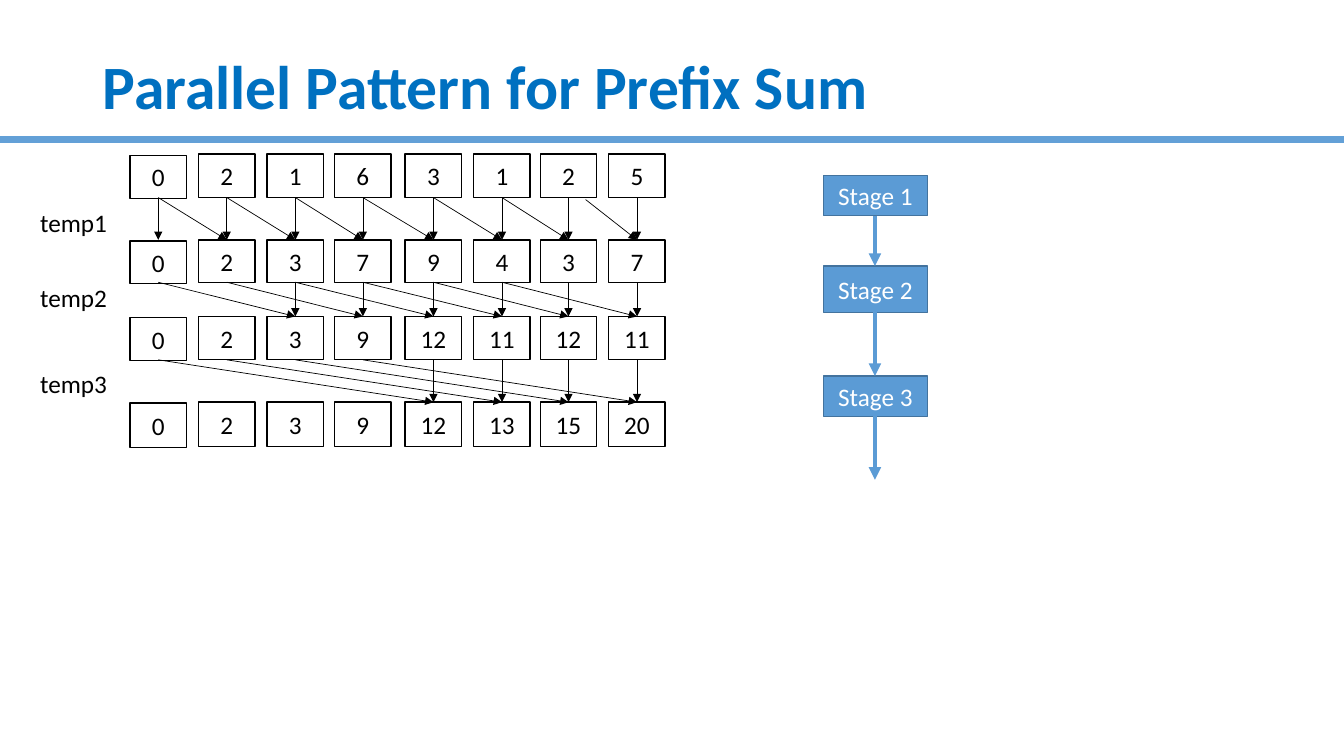
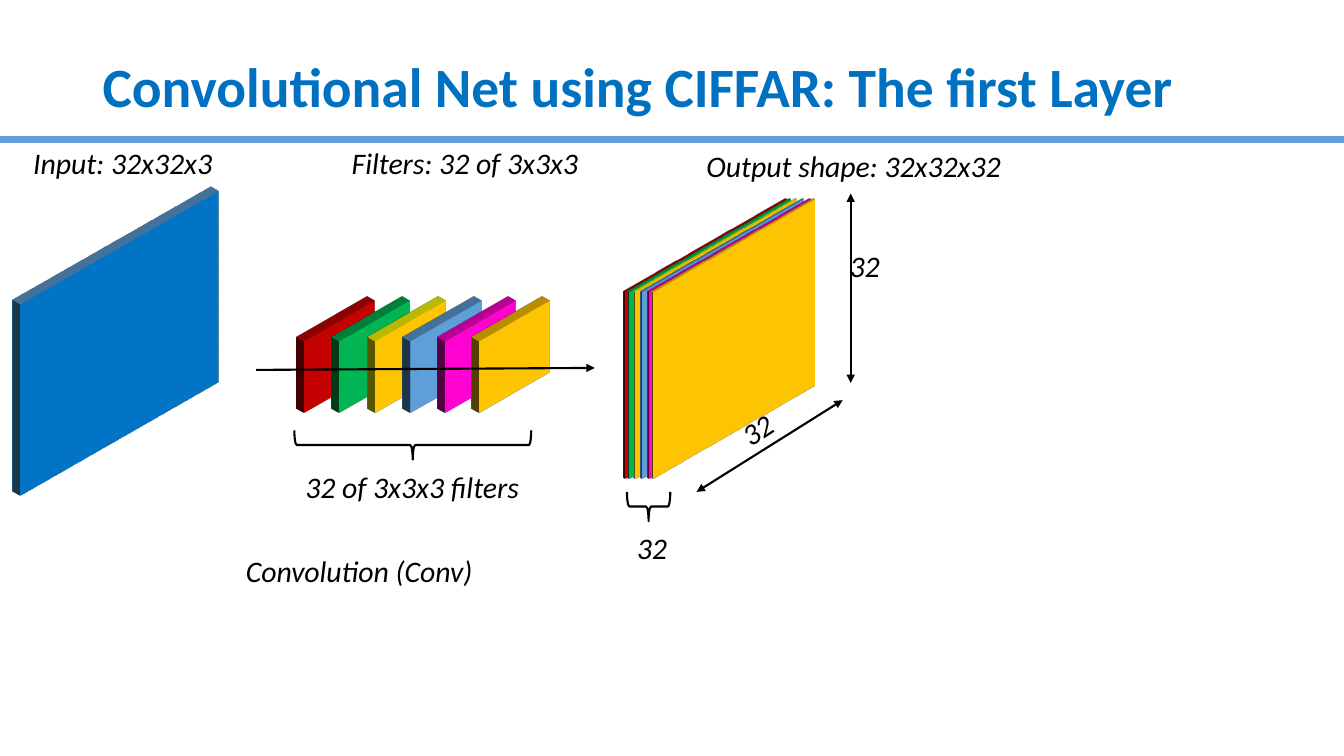
"""Build two slides: a parallel prefix sum and a first convolution layer."""
from lxml.etree import SubElement
from pptx import Presentation
from pptx.dml.color import RGBColor
from pptx.enum.shapes import MSO_CONNECTOR as LINK, MSO_SHAPE as SHAPE
from pptx.enum.text import MSO_ANCHOR as ANCHOR, PP_ALIGN as ALIGN
from pptx.oxml.ns import qn
from pptx.util import Pt

PX = 9144
COLOURS = {
    "title": "0070C0", "rule": "63A0D7", "black": "000000", "white": "FFFFFF",
    "blue": "5B9BD5", "blue edge": "43739E", "red": "C00000", "green": "00B050",
    "amber": "FFC000", "yellow": "FFFF00", "magenta": "FF00CC",
}
RGB = {name: RGBColor.from_string(value) for name, value in COLOURS.items()}


def set_text(box, text, size=18, colour="black", bold=False, italic=False):
    box.text_frame.text = text
    font = box.text_frame.paragraphs[0].runs[0].font
    font.name, font.size = "Calibri", Pt(size)
    font.bold, font.italic = bold, italic
    font.color.rgb = RGB[colour]


def add_line(page, start, end, colour="black", width=0.5, ends=("tailEnd",)):
    corners = [value * PX for value in (*start, *end)]
    line = page.shapes.add_connector(LINK.STRAIGHT, *corners)
    line.line.color.rgb = RGB[colour]
    line.line.width = Pt(width)
    properties = line._element.spPr
    for end_name in ends:
        SubElement(properties.find(qn("a:ln")), qn("a:" + end_name), type="triangle")
    SubElement(properties, qn("a:effectLst"))


deck = Presentation()
deck.slide_width, deck.slide_height = 4000 * PX // 3, 750 * PX

pages = []
for title, size in [("Parallel Pattern for Prefix Sum", 44),
                    ("Convolutional Net using CIFFAR: The first Layer", 39.6)]:
    page = deck.slides.add_slide(deck.slide_layouts[6])
    add_line(page, (1333, 138), (0, 138), "rule", 5, ends=())
    box = page.shapes.add_textbox(92 * PX, 40 * PX, 1150 * PX, 98 * PX)
    box.text_frame.word_wrap = True
    box.text_frame.vertical_anchor = ANCHOR.MIDDLE
    set_text(box, title, size, "title", bold=True)
    box.text_frame.paragraphs[0].line_spacing = 0.9
    pages.append(page)
sum_page, layer_page = pages

CELL_WIDTH = 56
column_lefts = [129, 197, 265, 332, 402, 470, 536, 604]
row_tops = [153, 238, 314, 399]
row_heights = [43, 42, 43, 44]
centres = [left + CELL_WIDTH // 2 for left in column_lefts]
rows = [[0, 2, 1, 6, 3, 1, 2, 5]]
for stride in (1, 2, 4):
    last = rows[-1]
    rows.append([value + (last[i - stride] if i >= stride else 0)
                 for i, value in enumerate(last)])

boxes = [(left, top + (left == column_lefts[0]), CELL_WIDTH, height, str(value),
          None, "black", "black")
         for top, height, row in zip(row_tops, row_heights, rows)
         for left, value in zip(column_lefts, row)]
stages = [(174, 40), (264, 46), (373, 40)]
boxes += [(817, top, 103, height, f"Stage {number}", "blue", "blue edge", "white")
          for number, (top, height) in enumerate(stages, 1)]
for left, top, width, height, text, fill, edge, colour in boxes:
    box = sum_page.shapes.add_shape(
        SHAPE.RECTANGLE, left * PX, top * PX, width * PX, height * PX)
    box.shadow.inherit = False
    if fill:
        box.fill.solid()
        box.fill.fore_color.rgb = RGB[fill]
    else:
        box.fill.background()
    box.line.color.rgb = RGB[edge]
    box.line.width = Pt(1)
    set_text(box, text, colour=colour)
    box.text_frame.vertical_anchor = ANCHOR.MIDDLE
    box.text_frame.paragraphs[0].alignment = ALIGN.CENTER

for step, (top, height, next_top) in enumerate(zip(row_tops, row_heights, row_tops[1:])):
    stride = 2 ** step
    bottom = top + height
    if step == 0:
        add_line(sum_page, (centres[0], bottom), (centres[0], next_top))
    for i in range(stride, len(centres)):
        add_line(sum_page, (centres[i], bottom), (centres[i], next_top))
        start = (centres[i - stride], bottom)
        if step == 0 and i == len(centres) - 1:
            start = (581, 198)
        add_line(sum_page, start, (centres[i], next_top))

for (top, height), next_top in zip(stages, (264, 373, 476)):
    add_line(sum_page, (868, top + height), (868, next_top), "blue", 3)

slab_colours = [("red", "red"), ("green", "green"), ("amber", "yellow"),
                ("blue", "blue"), ("magenta", "magenta"), ("amber", "amber")]
slabs = [(-20, 225, 277, 231, 8, "title", "blue")]
slabs += [(left, 311, 99, 86, 8, fill, edge)
          for left, (fill, edge) in zip((287, 322, 358, 393, 427, 461), slab_colours)]
slabs += [(left, 224, 226, 225, 2, fill, edge)
          for left, (fill, edge) in zip((587, 591, 597, 604, 611, 615), slab_colours)]
for left, top, width, height, depth, fill, edge in slabs:
    slab = layer_page.shapes.add_shape(
        SHAPE.RECTANGLE, left * PX, top * PX, width * PX, height * PX)
    slab.shadow.inherit = False
    slab.fill.solid()
    slab.fill.fore_color.rgb = RGB[fill]
    slab.line.color.rgb = RGB[edge]
    slab.line.width = Pt(1)
    scene = SubElement(slab._element.spPr, qn("a:scene3d"))
    SubElement(scene, qn("a:camera"), prst="isometricRightUp")
    SubElement(scene, qn("a:lightRig"), rig="threePt", dir="t")
    solid = SubElement(slab._element.spPr, qn("a:sp3d"), extrusionH=str(Pt(depth)))
    extrusion = SubElement(solid, qn("a:extrusionClr"))
    SubElement(extrusion, qn("a:srgbClr"), val=COLOURS[edge])

for left, top, width, height in [(629, 481, 29, 43), (395, 324, 29, 235)]:
    brace = layer_page.shapes.add_shape(
        SHAPE.LEFT_BRACE, left * PX, top * PX, width * PX, height * PX)
    brace.rotation = 270
    brace.shadow.inherit = False
    brace.fill.solid()
    brace.fill.fore_color.rgb = RGB["white"]
    brace.line.color.rgb = RGB["black"]
    brace.line.width = Pt(1.5)

both_ends = ("headEnd", "tailEnd")
add_line(layer_page, (254, 367), (590, 365), width=1.5)
add_line(layer_page, (691, 488), (836, 397), width=1.5, ends=both_ends)
add_line(layer_page, (844, 380), (844, 192), width=1.5, ends=both_ends)

labels = [(sum_page, 30, top, 87, 40, f"temp{number}", 18, 0)
          for number, top in enumerate((201, 275, 361), 1)]
labels += [(layer_page, left, top, width, 43, text, 21.3, turn)
           for left, top, width, text, turn in [
               (234, 543, 292, "Convolution (Conv)", 0),
               (23, 139, 272, "Input: 32x32x3", 0),
               (339, 139, 272, "Filters: 32 of 3x3x3", 0),
               (691, 142, 379, "Output shape: 32x32x32", 0),
               (622, 521, 44, "32", 0),
               (726, 405, 44, "32", 326.6),
               (833, 241, 44, "32", 0),
               (293, 460, 238, "32 of 3x3x3 filters", 0)]]
for page, left, top, width, height, text, size, turn in labels:
    box = page.shapes.add_textbox(left * PX, top * PX, width * PX, height * PX)
    box.rotation = turn
    box.text_frame.word_wrap = False
    box.text_frame.margin_right = 0
    set_text(box, text, size, italic=page is layer_page)

deck.save("out.pptx")
